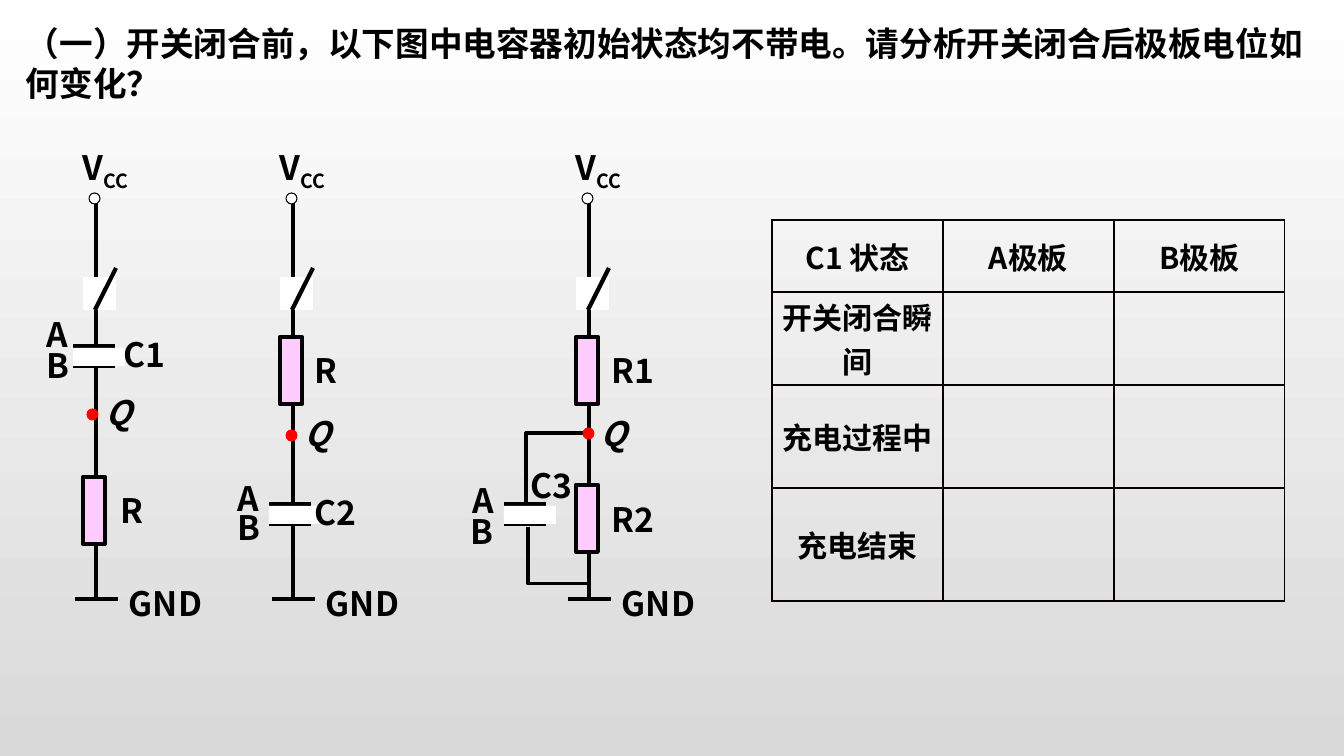
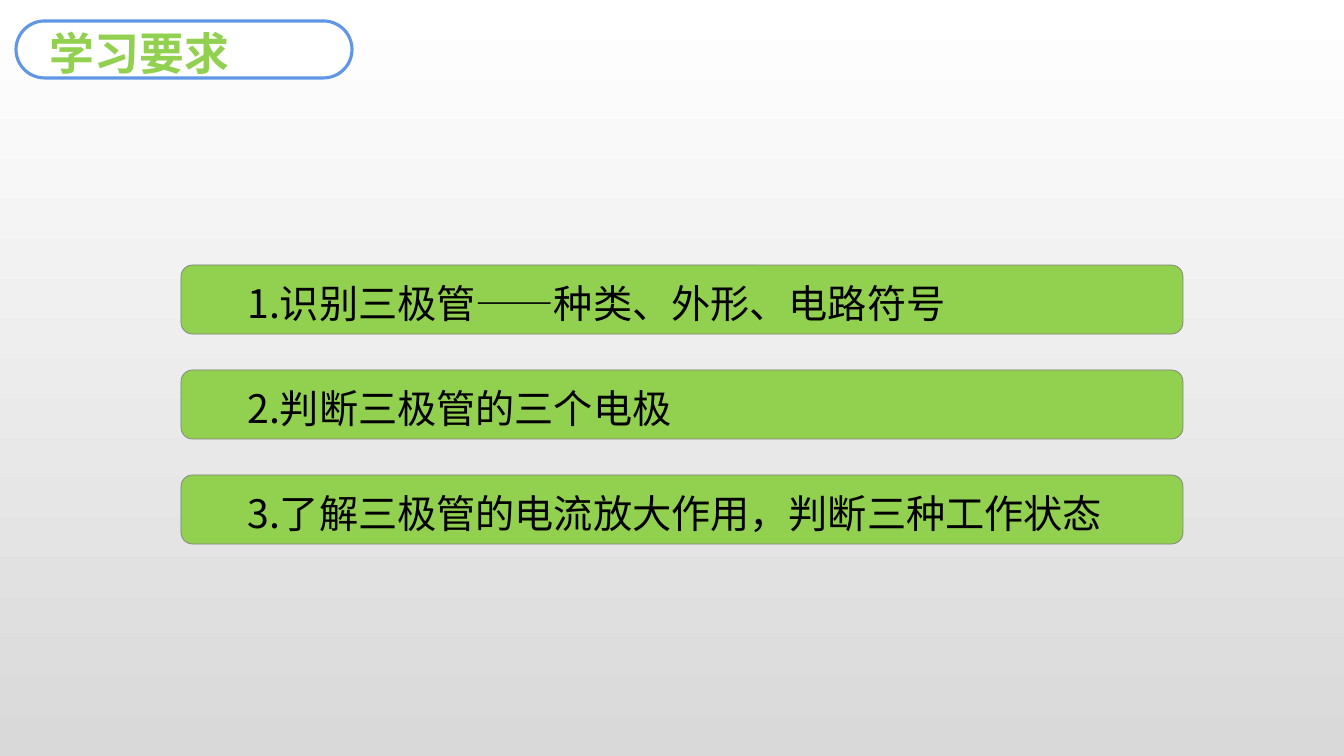
from dataclasses import dataclass

from pptx import Presentation
from pptx.dml.color import RGBColor
from pptx.enum.shapes import MSO_CONNECTOR, MSO_SHAPE
from pptx.enum.text import MSO_ANCHOR, PP_ALIGN
from pptx.oxml.ns import qn
from pptx.util import Emu, Pt
from lxml.etree import SubElement


@dataclass(frozen=True)
class Theme:
    font: str = "Noto Sans CJK SC"
    ink: str = "000000"
    paper: str = "FFFFFF"
    shade: str = "D9D9D9"
    resistor: str = "FFCCFF"
    node: str = "FF0000"
    green: str = "92D050"
    bar_edge: str = "808080"
    pill_edge: str = "6096E6"
    grid: str = "080000"
    label: float = 24
    cell: float = 21.4
    item: float = 28
    heading: float = 32
    hair: float = 0.75
    wire: float = 2.25
    thick: float = 3


THEME = Theme()

# Content: positions in px; x values inside a circuit count from its main wire
QUESTION = "（一）开关闭合前，以下图中电容器初始状态均不带电。请分析开关闭合后极板电位如何变化？"
CIRCUITS = [
    {"wire": 96, "resistors": [477], "node": (-9, 409), "capacitor": (-23, 346),
     "labels": [("R", 15, 485), ("A", -59, 309), ("B", -59, 340), ("C1", 18, 329)],
     "q": (0, 387), "branch": []},
    {"wire": 293, "resistors": [337], "node": (-7, 430), "capacitor": (-24, 504),
     "labels": [("R", 12, 345), ("A", -65, 473), ("B", -65, 502), ("C2", 12, 487)],
     "q": (2, 408), "branch": []},
    {"wire": 589, "resistors": [337, 485], "node": (-6, 428), "capacitor": (-85, 504),
     "labels": [("R1", 13, 345), ("R2", 13, 494), ("A", -126, 475),
                ("B", -128, 506), ("C3", -68, 460)],
     "q": (2, 408),
     "branch": [((-2, 433), (-63, 504)), ((0, 584), (-61, 527))]},
]
STATES = [
    ("C1 状态", "A极板", "B极板"),
    ("开关闭合瞬间", "", ""),
    ("充电过程中", "", ""),
    ("充电结束", "", ""),
]
STATE_ROWS = [72, 93, 103, 113]
STATE_COLUMN = 171
HEADING = "学习要求"
REQUIREMENTS = [
    "1.识别三极管——种类、外形、电路符号",
    "2.判断三极管的三个电极",
    "3.了解三极管的电流放大作用，判断三种工作状态",
]


def px(length):
    return Emu(round(length * 914400 / 100.8))


def rgb(value):
    return RGBColor.from_string(value)


# Drawing helpers
def write(frame, text, size, color=THEME.ink, bold=True, italic=False,
          align=PP_ALIGN.LEFT, subscript=""):
    frame.word_wrap = True
    paragraph = frame.paragraphs[0]
    paragraph.alignment = align
    for part, baseline in ((text, None), (subscript, "-25000")):
        if not part:
            continue
        run = paragraph.add_run()
        run.text = part
        style = {"name": THEME.font, "size": Pt(size), "bold": bold, "italic": italic}
        for key, value in style.items():
            setattr(run.font, key, value)
        run.font.color.rgb = rgb(color)
        properties = run._r.get_or_add_rPr()
        SubElement(properties, qn("a:ea"), typeface=THEME.font)
        if baseline:
            properties.set("baseline", baseline)


def add_text(slide, text, x, y, w=100, h=50, size=THEME.label, **style):
    box = slide.shapes.add_textbox(px(x), px(y), px(w), px(h))
    write(box.text_frame, text, size, **style)


def add_block(slide, preset, x, y, w, h, fill, edge=None, weight=THEME.hair):
    block = slide.shapes.add_shape(preset, px(x), px(y), px(w), px(h))
    block.shadow.inherit = False
    block.fill.solid()
    block.fill.fore_color.rgb = rgb(fill)
    if edge:
        block.line.color.rgb = rgb(edge)
        block.line.width = Pt(weight)
    else:
        block.line.fill.background()
    return block


def add_wire(slide, start, end, weight=THEME.thick, kind=MSO_CONNECTOR.STRAIGHT):
    wire = slide.shapes.add_connector(kind, *map(px, (*start, *end)))
    wire.line.color.rgb = rgb(THEME.ink)
    wire.line.width = Pt(weight)
    properties = wire._element.spPr
    SubElement(properties, qn("a:effectLst"))
    if kind == MSO_CONNECTOR.ELBOW:
        properties.find(qn("a:prstGeom")).set("prst", "bentConnector2")


# Circuit diagram
def add_circuit(slide, circuit):
    x = circuit["wire"]

    # Supply, ground and main wire
    add_text(slide, "GND", x + 23, 578)
    add_wire(slide, (x, 599), (x, 202), THEME.wire)
    add_wire(slide, (x + 22, 599), (x - 21, 599))
    add_block(slide, MSO_SHAPE.OVAL, x - 7, 193, 11, 11, THEME.paper, THEME.ink)
    add_text(slide, "V", x - 23, 142, subscript="CC")

    # Switch
    add_block(slide, MSO_SHAPE.RECTANGLE, x - 12, 278, 31, 31, THEME.paper, THEME.paper, 1)
    add_wire(slide, (x - 1, 310), (x + 20, 268))

    # Resistors
    for top in circuit["resistors"]:
        add_block(slide, MSO_SHAPE.RECTANGLE, x - 13, top, 22, 67,
                  THEME.resistor, THEME.ink, THEME.thick)

    # Capacitor plates with a gap between them
    left, top = x + circuit["capacitor"][0], circuit["capacitor"][1]
    for plate in (top + 20, top):
        add_wire(slide, (left + 42, plate), (left, plate))
    add_block(slide, MSO_SHAPE.RECTANGLE, left, top + 2, 52, 18, THEME.paper)

    # Parallel branch
    for (x1, y1), (x2, y2) in circuit["branch"]:
        add_wire(slide, (x + x1, y1), (x + x2, y2), THEME.wire, MSO_CONNECTOR.ELBOW)

    # Node Q and labels
    dx, y = circuit["node"]
    add_block(slide, MSO_SHAPE.OVAL, x + dx, y, 11, 11, THEME.node, THEME.node)
    dx, y = circuit["q"]
    add_text(slide, "Q", x + dx, y, italic=True)
    for text, dx, y in circuit["labels"]:
        add_text(slide, text, x + dx, y)


# Table of plate states
def add_border(cell):
    properties = cell._tc.get_or_add_tcPr()
    for position, side in enumerate(("a:lnL", "a:lnR", "a:lnT", "a:lnB")):
        line = properties.makeelement(qn(side), {"w": str(Pt(1))})
        fill = SubElement(line, qn("a:solidFill"))
        SubElement(fill, qn("a:srgbClr"), val=THEME.grid)
        properties.insert(position, line)


def add_states(slide, x, y):
    columns = len(STATES[0])
    table = slide.shapes.add_table(
        len(STATES), columns, px(x), px(y),
        px(STATE_COLUMN * columns), px(sum(STATE_ROWS))).table
    table.first_row = table.horz_banding = False
    for column in table.columns:
        column.width = px(STATE_COLUMN)
    for row, height, texts in zip(table.rows, STATE_ROWS, STATES):
        row.height = px(height)
        for cell, text in zip(row.cells, texts):
            cell.fill.background()
            add_border(cell)
            cell.vertical_anchor = MSO_ANCHOR.MIDDLE
            for side in ("left", "right", "top", "bottom"):
                setattr(cell, f"margin_{side}", 0)
            write(cell.text_frame, text, THEME.cell, align=PP_ALIGN.CENTER)


# Slides
def build_question(slide):
    add_text(slide, QUESTION, 16, 18, 1307, 92)
    for circuit in CIRCUITS:
        add_circuit(slide, circuit)
    add_states(slide, 772, 220)


def build_requirements(slide):
    for index, requirement in enumerate(REQUIREMENTS):
        bar = add_block(slide, MSO_SHAPE.ROUNDED_RECTANGLE, 181, 265 + index * 105,
                        1002, 69, THEME.green, THEME.bar_edge, 0.5)
        layout = {"margin_left": px(63), "margin_top": px(11), "margin_right": 0,
                  "margin_bottom": 0, "vertical_anchor": MSO_ANCHOR.TOP}
        for key, value in layout.items():
            setattr(bar.text_frame, key, value)
        write(bar.text_frame, requirement, THEME.item, bold=False)

    pill = add_block(slide, MSO_SHAPE.ROUNDED_RECTANGLE, 16, 21, 336, 57,
                     THEME.paper, THEME.pill_edge, THEME.wire)
    pill.adjustments[0] = 0.5
    add_text(slide, HEADING, 40, 21, 312, 65, THEME.heading, color=THEME.green)


def main():
    deck = Presentation()
    deck.slide_width, deck.slide_height = px(1344), px(756)

    # Shared background
    backdrop = deck.slide_master.background.fill
    backdrop.gradient()
    backdrop.gradient_angle = 270
    for stop, color in zip(backdrop.gradient_stops, (THEME.paper, THEME.shade)):
        stop.color.rgb = rgb(color)

    for build in (build_question, build_requirements):
        build(deck.slides.add_slide(deck.slide_layouts[6]))
    deck.save("out.pptx")


if __name__ == "__main__":
    main()
